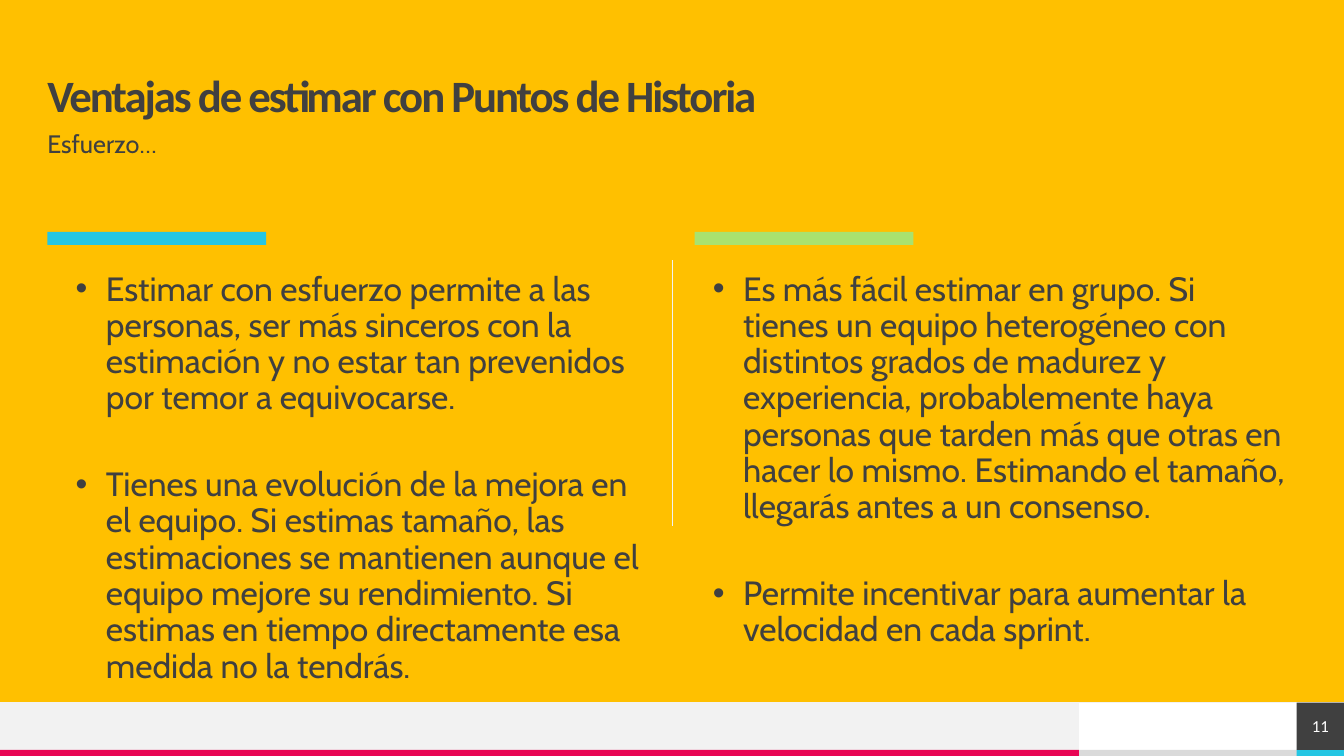
from lxml.etree import SubElement
from pptx import Presentation
from pptx.dml.color import RGBColor
from pptx.enum.shapes import MSO_CONNECTOR, MSO_SHAPE
from pptx.enum.text import MSO_ANCHOR, PP_ALIGN
from pptx.oxml.ns import qn
from pptx.util import Inches, Pt

AMBER = RGBColor(0xFF, 0xC0, 0x00)
DARK = RGBColor(0x40, 0x40, 0x40)
WHITE = RGBColor(0xFF, 0xFF, 0xFF)
PALE = RGBColor(0xF2, 0xF2, 0xF2)
GRAY = RGBColor(0xDA, 0xDA, 0xDA)
PINK = RGBColor(0xE8, 0x05, 0x54)
CYAN = RGBColor(0x25, 0xC6, 0xE3)
GREEN = RGBColor(0xA9, 0xE2, 0x6F)

deck = Presentation()
deck.slide_width = Inches(13.33)
deck.slide_height = Inches(7.5)
slide = deck.slides.add_slide(deck.slide_layouts[6])
slide.background.fill.solid()
slide.background.fill.fore_color.rgb = AMBER


def add_bar(left, top, width, height, color):
    bar = slide.shapes.add_shape(
        MSO_SHAPE.RECTANGLE, Inches(left), Inches(top), Inches(width), Inches(height))
    bar.shadow.inherit = False
    bar.fill.solid()
    bar.fill.fore_color.rgb = color
    bar.line.fill.background()
    return bar


def set_text(shape, lines, size, face, color=DARK, anchor=MSO_ANCHOR.TOP):
    frame = shape.text_frame
    frame.word_wrap = True
    frame.vertical_anchor = anchor
    frame.margin_left = frame.margin_right = 0
    frame.margin_top = frame.margin_bottom = 0
    frame.text = "\n".join(lines)
    for para in frame.paragraphs:
        para.line_spacing = 0.9
        for run in para.runs:
            run.font.size = Pt(size)
            run.font.name = face
            run.font.color.rgb = color
    return frame


footer = [
    (10.7, 6.97, 2.17, 0.47, WHITE),
    (10.7, 7.44, 2.17, 0.06, GRAY),
    (0, 6.97, 10.7, 0.47, PALE),
    (0, 7.44, 10.7, 0.06, PINK),
    (12.86, 7.44, 0.47, 0.06, CYAN),
]
for part in footer:
    add_bar(*part)

rules = [(13.33, 6.97, 0, 6.97), (6.67, 2.58, 6.67, 5.22)]
for ends in rules:
    rule = slide.shapes.add_connector(MSO_CONNECTOR.STRAIGHT, *map(Inches, ends))
    rule.line.color.rgb = PALE
    rule.line.width = Pt(0.5)
    SubElement(rule._element.spPr, qn("a:effectLst"))

title = slide.shapes.add_textbox(Inches(0.47), Inches(0.74), Inches(12.4), Inches(0.47))
frame = set_text(title, ["Ventajas de estimar con Puntos de Historia"], 32, "Calibri",
                 anchor=MSO_ANCHOR.MIDDLE)
run = frame.paragraphs[0].runs[0]
run.font.bold = True
run._r.get_or_add_rPr().set("spc", "-150")

label = slide.shapes.add_textbox(Inches(0.47), Inches(1.31), Inches(12.4), Inches(0.39))
set_text(label, ["Esfuerzo…"], 18, "Cabin")

columns = [
    (0.47, 0.46, CYAN, [
        "Estimar con esfuerzo permite a las personas, ser más sinceros con la estimación "
        "y no estar tan prevenidos por temor a equivocarse.",
        "Tienes una evolución de la mejora en el equipo. Si estimas tamaño, las "
        "estimaciones se mantienen aunque el equipo mejore su rendimiento. Si estimas en "
        "tiempo directamente esa medida no la tendrás.",
    ]),
    (6.89, 6.78, GREEN, [
        "Es más fácil estimar en grupo. Si tienes un equipo heterogéneo con distintos "
        "grados de madurez y experiencia, probablemente haya personas que tarden más que "
        "otras en hacer lo mismo. Estimando el tamaño, llegarás antes a un consenso.",
        "Permite incentivar para aumentar la velocidad en cada sprint.",
    ]),
]
for mark, left, color, points in columns:
    add_bar(mark, 2.3, 2.17, 0.13, color)
    body = slide.shapes.add_textbox(Inches(left), Inches(2.7), Inches(5.98), Inches(2.4))
    frame = set_text(body, points, 24, "Cabin")
    for para in frame.paragraphs:
        props = para._p.get_or_add_pPr()
        props.set("marL", str(Inches(0.59)))
        props.set("indent", str(Inches(-0.3)))
        SubElement(props, qn("a:buFont")).set("typeface", "Arial")
        SubElement(props, qn("a:buChar")).set("char", "•")
    frame.paragraphs[1].space_before = Pt(36)

badge = add_bar(12.86, 6.97, 0.47, 0.47, DARK)
frame = set_text(badge, ["11"], 12, "Calibri", WHITE, MSO_ANCHOR.MIDDLE)
frame.paragraphs[0].alignment = PP_ALIGN.CENTER
frame.paragraphs[0].line_spacing = 1.0

deck.save("out.pptx")
